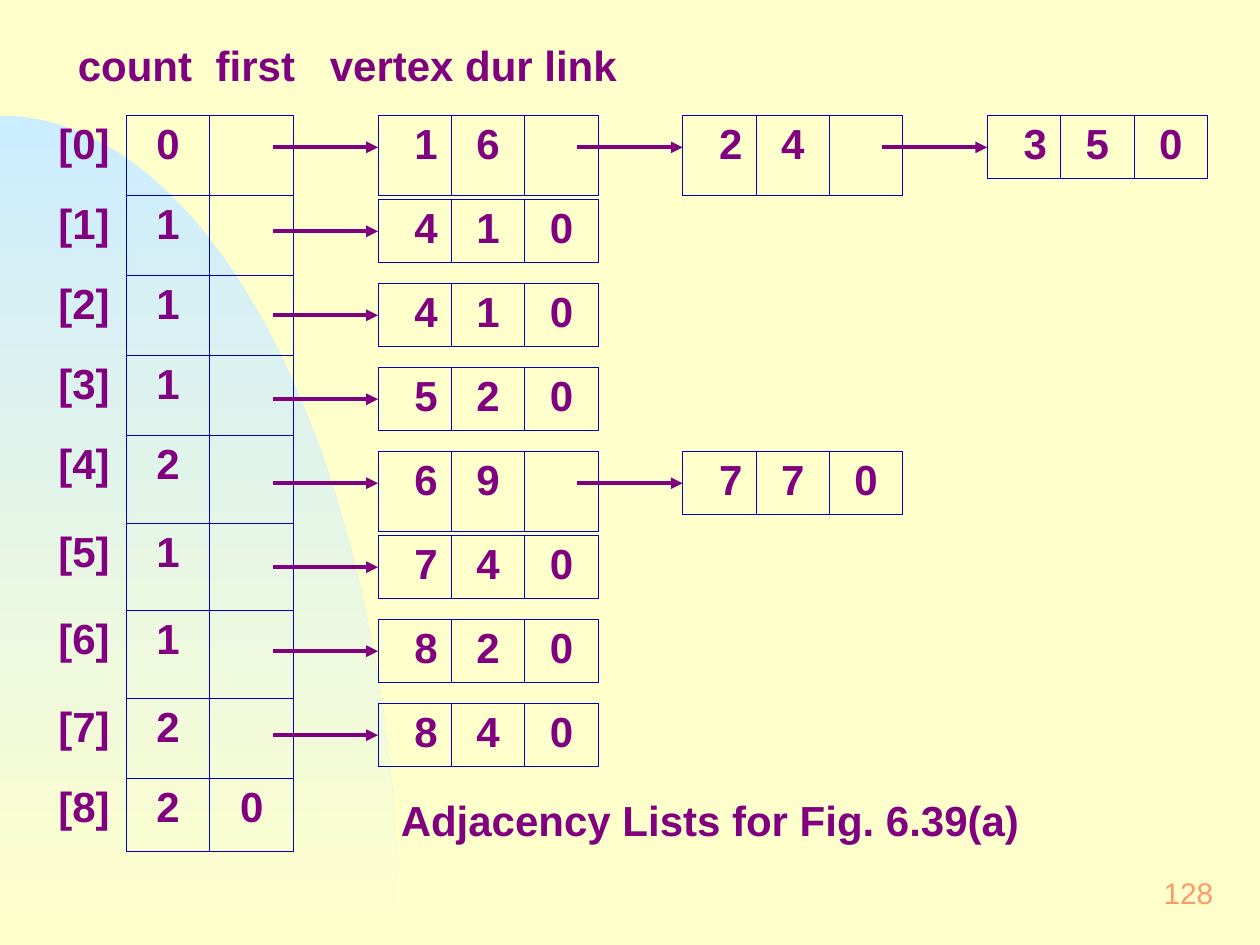
from dataclasses import dataclass
from math import cos, pi, sin

from lxml import etree
from pptx import Presentation
from pptx.dml.color import RGBColor
from pptx.enum.shapes import MSO_CONNECTOR
from pptx.enum.text import MSO_ANCHOR, PP_ALIGN
from pptx.oxml.ns import qn
from pptx.util import Cm, Pt

LEFT, CENTER, RIGHT = PP_ALIGN.LEFT, PP_ALIGN.CENTER, PP_ALIGN.RIGHT
TOP, MIDDLE = MSO_ANCHOR.TOP, MSO_ANCHOR.MIDDLE
STRAIGHT = MSO_CONNECTOR.STRAIGHT

COLORS = {
    "background": "FFFFCC",
    "arc": "CCECFF",
    "text": "800080",
    "border": "0000CC",
    "page": "FF9966",
}
FONT = "Arial"
BORDER_WIDTH = Pt(0.45)

# Grid, in centimetres
GRID_TOP = 2.33
NODE_LEFT, NODE_STEP, NODE_CELL = 7.62, 6.14, 1.48
NODE_HEIGHT, LINKED_HEIGHT = 1.27, 1.61
LIST_STEP = 11.85 / 7
ARROW_START, ARROW_LENGTH, ARROW_DROP = 5.5, 2.12, 0.64
HEADER_LEFT, HEADER_CELL = 0.85, 1.69
HEADER_ROWS = [1.61] * 4 + [1.77] * 3 + [1.61, 1.48]
CELL_INSET, KEY_INSET = 0.25, 0.71


@dataclass
class Node:
    vertex: int
    duration: int


@dataclass
class Vertex:
    count: int
    nodes: list[Node]


@dataclass
class Label:
    text: str
    left: float
    top: float
    width: float
    height: float
    inset: tuple[float, float] = (0.3, 0.15)
    tab: float | None = None


VERTICES = [
    Vertex(0, [Node(1, 6), Node(2, 4), Node(3, 5)]),
    Vertex(1, [Node(4, 1)]),
    Vertex(1, [Node(4, 1)]),
    Vertex(1, [Node(5, 2)]),
    Vertex(2, [Node(6, 9), Node(7, 7)]),
    Vertex(1, [Node(7, 4)]),
    Vertex(1, [Node(8, 2)]),
    Vertex(2, [Node(8, 4)]),
    Vertex(2, []),
]

LABELS = [
    Label("count\tfirst", 1.27, 0.64, 5.29, 1.32, tab=2.78),
    Label("vertex dur link", 6.35, 0.64, 6.99, 1.32),
    Label("Adjacency Lists for Fig. 6.39(a)", 7.83, 15.88, 13.76, 1.27,
          inset=(0.25, 0.13)),
]


def rgb(name: str) -> RGBColor:
    return RGBColor.from_string(COLORS[name])


def write(text_frame, text: str, *, size=24, bold=True, color="text",
          align=LEFT, tab=None) -> None:
    """Put one formatted paragraph into a text frame."""
    paragraph = text_frame.paragraphs[0]
    paragraph.alignment = align
    if tab is not None:
        properties = paragraph._p.get_or_add_pPr()
        tabs = etree.SubElement(properties, qn("a:tabLst"))
        etree.SubElement(tabs, qn("a:tab"), pos=str(Cm(tab)), algn="l")
    run = paragraph.add_run()
    run.text = text
    run.font.name = FONT
    run.font.size = Pt(size)
    run.font.bold = bold
    run.font.color.rgb = rgb(color)


def add_label(slide, label: Label, anchor=TOP, **text_format) -> None:
    box = slide.shapes.add_textbox(Cm(label.left), Cm(label.top),
                                   Cm(label.width), Cm(label.height))
    frame = box.text_frame
    frame.word_wrap = True
    frame.vertical_anchor = anchor
    frame.margin_left = frame.margin_right = Cm(label.inset[0])
    frame.margin_top = frame.margin_bottom = Cm(label.inset[1])
    write(frame, label.text, tab=label.tab, **text_format)


def set_borders(cell, sides: str) -> None:
    """Draw the named sides (L, R, T, B) and clear the others."""
    properties = cell._tc.get_or_add_tcPr()
    for side in "LRTB":
        line = etree.SubElement(properties, qn(f"a:ln{side}"),
                                w=str(BORDER_WIDTH))
        if side in sides:
            fill = etree.SubElement(line, qn("a:solidFill"))
            etree.SubElement(fill, qn("a:srgbClr"), val=COLORS["border"])
        else:
            etree.SubElement(line, qn("a:noFill"))


def add_grid(slide, left: float, top: float, cell_width: float,
             heights: list[float], rows: list[list[str]],
             first_sides="LRTB", first_inset=CELL_INSET) -> None:
    """Add a table; the first column has its own borders and left inset."""
    columns = len(rows[0])
    frame = slide.shapes.add_table(len(rows), columns, Cm(left), Cm(top),
                                   Cm(cell_width * columns), Cm(sum(heights)))
    table = frame.table
    table.first_row = table.horz_banding = False
    for column in table.columns:
        column.width = Cm(cell_width)
    for row_index, (height, row) in enumerate(zip(heights, rows)):
        table.rows[row_index].height = Cm(height)
        for column_index, text in enumerate(row):
            cell = table.cell(row_index, column_index)
            is_first = column_index == 0
            set_borders(cell, first_sides if is_first else "LRTB")
            cell.fill.background()
            cell.margin_left = Cm(first_inset if is_first else CELL_INSET)
            cell.margin_right = Cm(CELL_INSET)
            if text:
                write(cell.text_frame, text, align=CENTER)


def add_arrow(slide, left: float, top: float) -> None:
    arrow = slide.shapes.add_connector(STRAIGHT, Cm(left), Cm(top),
                                       Cm(left + ARROW_LENGTH), Cm(top))
    arrow.line.color.rgb = rgb("text")
    arrow.line.width = Pt(2.25)
    etree.SubElement(arrow.line._get_or_add_ln(), qn("a:tailEnd"),
                     type="triangle")
    etree.SubElement(arrow._element.spPr, qn("a:effectLst"))


def add_background_arc(slide, width=8.05, top=2.33, bottom=19.05,
                       steps=90) -> None:
    """Quarter ellipse that fades into the background."""
    angles = [pi / 2 * step / steps for step in range(steps + 1)]
    points = [(Cm(width * sin(angle)), Cm(bottom - (bottom - top) * cos(angle)))
              for angle in angles]
    builder = slide.shapes.build_freeform(*points[0])
    builder.add_line_segments(points[1:] + [(0, Cm(bottom))], close=True)
    shape = builder.convert_to_shape()
    shape.shadow.inherit = False
    shape.line.fill.background()
    shape.fill.gradient()
    shape.fill.gradient_angle = 270
    for stop, position, name in zip(shape.fill.gradient_stops, (0, 1),
                                    ("arc", "background")):
        stop.position = position
        stop.color.rgb = rgb(name)


def add_list(slide, index: int, nodes: list[Node]) -> None:
    """Add the chain of nodes that starts at one header row."""
    top = GRID_TOP + index * LIST_STEP
    for position, node in enumerate(nodes):
        is_last = position == len(nodes) - 1
        offset = position * NODE_STEP
        row = [str(node.vertex), str(node.duration), "0" if is_last else ""]
        add_grid(slide, NODE_LEFT + offset, top, NODE_CELL,
                 [NODE_HEIGHT if is_last else LINKED_HEIGHT], [row],
                 first_inset=KEY_INSET)
        add_arrow(slide, ARROW_START + offset, top + ARROW_DROP)


def main() -> None:
    presentation = Presentation()
    presentation.slide_width, presentation.slide_height = Cm(25.4), Cm(19.05)
    slide = presentation.slides.add_slide(presentation.slide_layouts[6])

    # Background and page number
    slide.background.fill.solid()
    slide.background.fill.fore_color.rgb = rgb("background")
    add_background_arc(slide)
    add_label(slide, Label("128", 19.48, 17.35, 5.28, 1.27), anchor=MIDDLE,
              size=17, bold=False, color="page", align=RIGHT)

    # Column headings and caption
    for label in LABELS:
        add_label(slide, label)

    # Header table: index, count, first
    rows = [[f"[{index}]", str(vertex.count), "" if vertex.nodes else "0"]
            for index, vertex in enumerate(VERTICES)]
    add_grid(slide, HEADER_LEFT, GRID_TOP, HEADER_CELL, HEADER_ROWS, rows,
             first_sides="R")

    # Adjacency lists
    for index, vertex in enumerate(VERTICES):
        add_list(slide, index, vertex.nodes)

    presentation.save("out.pptx")


if __name__ == "__main__":
    main()
